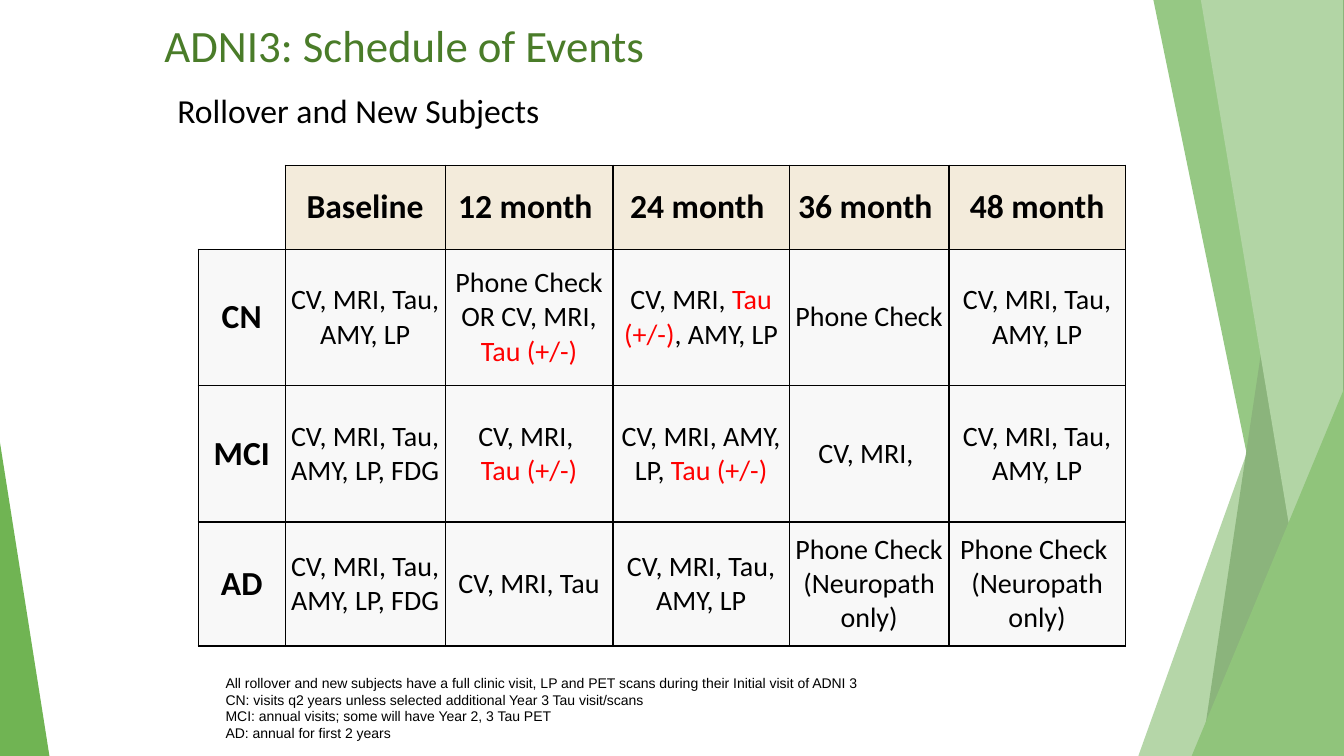
from lxml import etree
from pptx import Presentation
from pptx import util as u
from pptx.dml.color import RGBColor
from pptx.enum import text
from pptx.oxml.ns import qn

BLACK = RGBColor(0, 0, 0)
RED = RGBColor(0xFF, 0, 0)
TITLE_GREEN = RGBColor(0x4A, 0x7C, 0x29)
HEADER_SAND = RGBColor(0xF3, 0xEB, 0xDB)
CELL_GREY = RGBColor(0xF8, 0xF8, 0xF8)

FACETS = [
    (RGBColor(0xB5, 0xD6, 0xA8), [(100, 24), (84.7, 100), (100, 100)]),
    (RGBColor(0x96, 0xC8, 0x84), [(99.1, 0), (85.82, 0), (97.3, 99.2), (99.1, 99.2)]),
    (RGBColor(0x8B, 0xB4, 0x7C), [(100, 0), (97.75, 0), (89.42, 99.2), (100, 99.2)]),
    (RGBColor(0xB2, 0xD5, 0xA5), [(99.92, 0), (89.35, 0), (98.72, 99.2), (99.92, 99.2)]),
    (RGBColor(0x90, 0xC4, 0x7B), [(100, 51.47), (88.67, 100), (100, 100)]),
    (RGBColor(0x70, 0xB4, 0x53), [(0, 58.53), (0, 100), (3.68, 100)]),
]

TAU_OPTION = "Tau (+/-)"
FULL_VISIT = "CV, MRI, Tau, AMY, LP"
NEUROPATH = "Phone Check \n(Neuropath only)"
SCHEDULE = [
    ["", "Baseline", "12 month ", "24 month ", "36 month ", "48 month"],
    ["CN", FULL_VISIT, "Phone Check\nOR CV, MRI, Tau (+/-)",
     "CV, MRI, Tau (+/-), AMY, LP", "Phone Check", FULL_VISIT],
    ["MCI", FULL_VISIT + ", FDG", "CV, MRI, \nTau (+/-)",
     "CV, MRI, AMY, LP, Tau (+/-)", "CV, MRI, ", FULL_VISIT],
    ["AD", FULL_VISIT + ", FDG", "CV, MRI, Tau", FULL_VISIT, NEUROPATH, NEUROPATH],
]
COLUMN_SHARES = [6.47, 11.9, 12.5, 13.1, 11.9, 13.1]
ROW_SHARES = [11.11, 18.05, 18.05, 16.4]

NOTES = """All rollover and new subjects have a full clinic visit, LP and PET scans during their Initial visit of ADNI 3
CN: visits q2 years unless selected additional Year 3 Tau visit/scans
MCI: annual visits; some will have Year 2, 3 Tau PET
AD: annual for first 2 years"""


class ScheduleSlide:
    """Draws styled elements on one slide, with lengths in percent of its size."""

    def __init__(self, presentation):
        self.width = presentation.slide_width
        self.height = presentation.slide_height
        self.slide = presentation.slides.add_slide(presentation.slide_layouts[5])

    def x(self, share):
        return u.Emu(round(self.width * share / 100))

    def y(self, share):
        return u.Emu(round(self.height * share / 100))

    def box(self, left, top, width, height):
        return self.x(left), self.y(top), self.x(width), self.y(height)

    def fill_text(self, frame, content, size, color=BLACK, font="Calibri", bold=False,
                  align=text.PP_ALIGN.LEFT):
        for index, line in enumerate(content.split("\n")):
            paragraph = frame.paragraphs[0] if index == 0 else frame.add_paragraph()
            before, option, after = line.partition(TAU_OPTION)
            for part in filter(None, (before, option, after)):
                run = paragraph.add_run()
                run.text = part
                if part == TAU_OPTION:
                    run.font.color.rgb = RED
            paragraph.alignment = align
            paragraph.font.size = u.Pt(size)
            paragraph.font.name = font
            paragraph.font.bold = bold
            paragraph.font.color.rgb = color

    def facet(self, color, points):
        corners = [(self.x(across), self.y(down)) for across, down in points]
        builder = self.slide.shapes.build_freeform(*corners[0], scale=1.0)
        builder.add_line_segments(corners[1:], close=True)
        shape = builder.convert_to_shape()
        shape.shadow.inherit = False
        shape.fill.solid()
        shape.fill.fore_color.rgb = color
        shape.line.fill.background()

    def title(self, content, *area):
        shape = self.slide.shapes.title
        shape.left, shape.top, shape.width, shape.height = self.box(*area)
        self.frame(shape, 0)
        self.fill_text(shape.text_frame, content, 32, TITLE_GREEN)

    def text_box(self, content, size, font, inset, *area):
        shape = self.slide.shapes.add_textbox(*self.box(*area))
        self.frame(shape, inset)
        self.fill_text(shape.text_frame, content, size, font=font)

    def frame(self, shape, inset):
        frame = shape.text_frame
        frame.word_wrap = True
        frame.auto_size = text.MSO_AUTO_SIZE.NONE
        frame.vertical_anchor = text.MSO_ANCHOR.TOP
        frame.margin_left = frame.margin_right = u.Inches(inset)
        frame.margin_top = frame.margin_bottom = u.Inches(inset / 2)

    def borders(self, cell, sides):
        properties = cell._tc.get_or_add_tcPr()
        for side in "LRTB":
            line = etree.SubElement(properties, qn(f"a:ln{side}"), w=str(u.Pt(1)))
            if side in sides:
                fill = etree.SubElement(line, qn("a:solidFill"))
                etree.SubElement(fill, qn("a:srgbClr"), val=str(BLACK))
            else:
                etree.SubElement(line, qn("a:noFill"))

    def table(self, rows, left, top):
        area = self.box(left, top, sum(COLUMN_SHARES), sum(ROW_SHARES))
        table = self.slide.shapes.add_table(len(rows), len(rows[0]), *area).table
        table.first_row = table.horz_banding = False
        for column, share in zip(table.columns, COLUMN_SHARES):
            column.width = self.x(share)
        for row, share in zip(table.rows, ROW_SHARES):
            row.height = self.y(share)
        for row_index, row in enumerate(rows):
            for column_index, content in enumerate(row):
                cell = table.cell(row_index, column_index)
                cell.margin_left = cell.margin_right = u.Inches(0.05)
                cell.margin_top = cell.margin_bottom = 0
                cell.vertical_anchor = text.MSO_ANCHOR.MIDDLE
                self.borders(cell, "LRTB" if content else "RB")
                if not content:
                    cell.fill.background()
                    continue
                cell.fill.solid()
                cell.fill.fore_color.rgb = CELL_GREY if row_index else HEADER_SAND
                heading = row_index == 0 or column_index == 0
                self.fill_text(cell.text_frame, content, 24 if heading else 20,
                               bold=heading, align=text.PP_ALIGN.CENTER)


def main():
    presentation = Presentation()
    presentation.slide_width = u.Inches(13.33)
    presentation.slide_height = u.Inches(7.5)
    schedule = ScheduleSlide(presentation)
    for color, points in FACETS:
        schedule.facet(color, points)
    schedule.title("ADNI3: Schedule of Events", 12.23, 2.4, 75, 7.2)
    schedule.text_box("Rollover and New Subjects", 24, "Calibri", 0, 13.2, 11.87, 73.14, 9.33)
    schedule.table(SCHEDULE, 14.75, 21.85)
    schedule.text_box(NOTES, 10, "Arial", 0.1, 16.05, 88.53, 59, 10.27)
    presentation.save("out.pptx")


if __name__ == "__main__":
    main()
